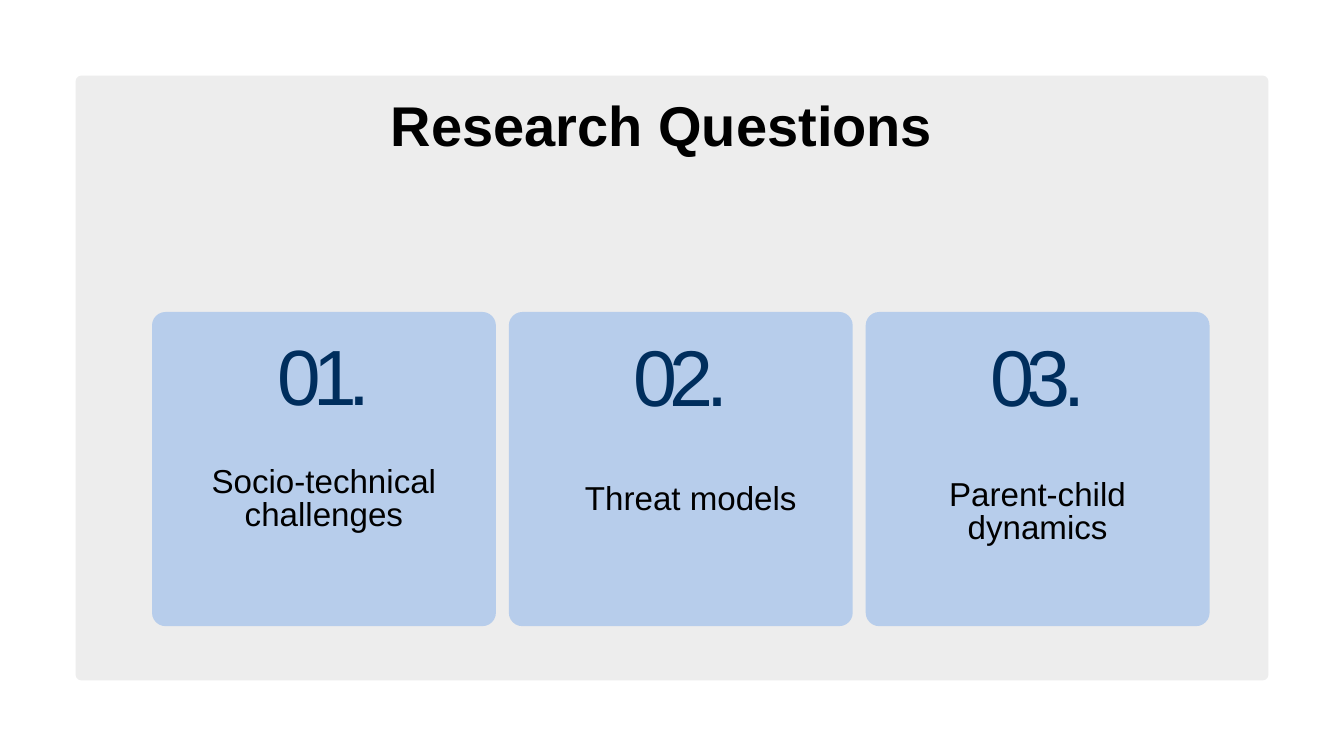
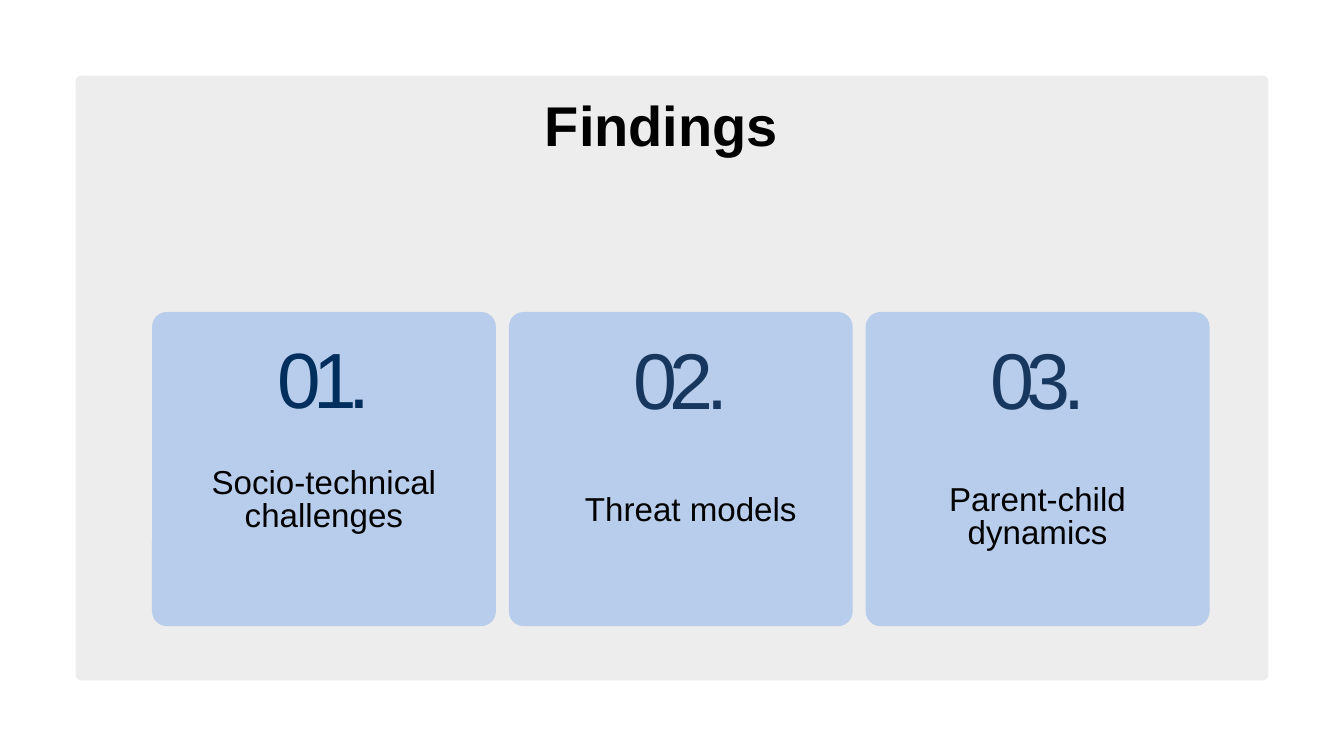
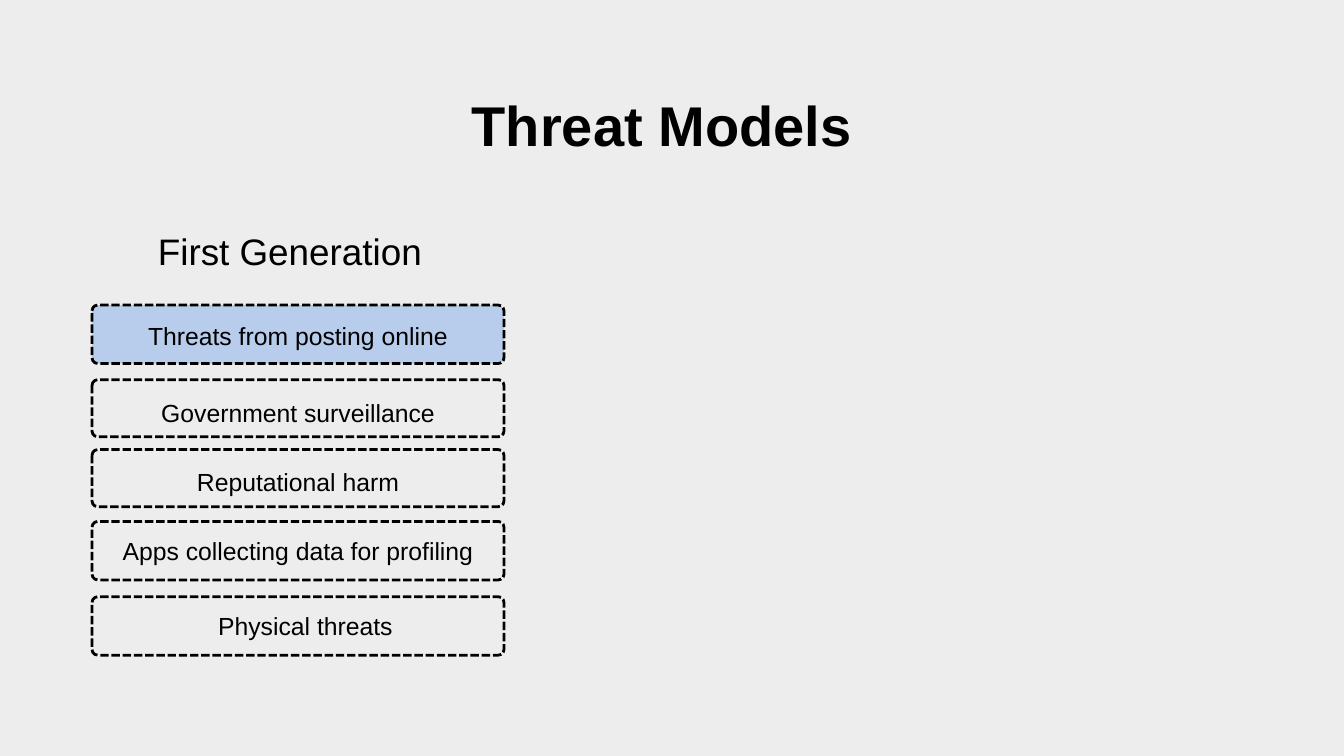
import dataclasses
import typing

import pptx
import pptx.dml.color
import pptx.enum.dml
import pptx.enum.shapes
import pptx.enum.text
import pptx.util

CELL = 0.25  # inches; the slide is 80 columns by 45 rows
COLUMNS, ROWS = 80, 45
FONT = "Arial"
BLACK, GREY, BLUE, NAVY, SLATE = "000000", "EDEDED", "B7CDEB", "002E5D", "17375E"


class Area(typing.NamedTuple):
    """Left, top, width and height in grid cells."""
    left: float
    top: float
    width: float
    height: float


@dataclasses.dataclass(frozen=True)
class Style:
    size: float
    leading: float
    color: str = BLACK
    bold: bool = False
    tracking: float = 0


@dataclasses.dataclass(frozen=True)
class Card:
    label: str
    label_top: float
    label_height: float
    number_color: str = NAVY
    number_size: float = 84.7
    label_shift: float = 0


@dataclasses.dataclass(frozen=True)
class Threat:
    text: str
    top: float
    height: float
    text_top: float
    text_width: float
    fill: str | None = None
    text_shift: float = 0


TITLE_AREA = Area(20.5, 6.04, 37.76, 3.36)
PANEL = Area(4.5, 4.5, 71, 36)
FIRST_CARD = Area(9.05, 18.57, 20.47, 18.7)
CARD_PITCH = 21.24
NUMBER_WIDTH, LABEL_WIDTH = 6.8, 16.92
THREAT_LEFT, THREAT_WIDTH = 5.48, 24.52
SMALL_RADIUS = 0.34

TITLE_STYLE = Style(60, 60, bold=True)
LABEL_STYLE = Style(35.5, 35.5)
HEADING_STYLE = Style(39.5, 55.3)
THREAT_STYLE = Style(26.5, 37.1)

QUESTIONS = [
    Card("Socio-technical challenges", 27.8, 3.92, number_size=83.9),
    Card("Threat models", 28.8, 2.04, label_shift=0.6),
    Card("Parent-child dynamics", 28.56, 3.92),
]
FINDINGS = [
    Card("Socio-technical challenges", 27.88, 4, number_size=83.9),
    Card("Threat models", 29.48, 2.04, SLATE, label_shift=0.6),
    Card("Parent-child dynamics", 28.88, 3.96, SLATE),
]
THREATS = [
    Threat("Threats from posting online", 18.16, 3.48, 18.8, 20.4, BLUE),
    Threat("Government surveillance", 22.6, 3.4, 23.4, 18.48),
    Threat("Reputational harm", 26.76, 3.4, 27.52, 15.12),
    Threat("Apps collecting data for profiling", 31.04, 3.48, 31.6, 23.56),
    Threat("Physical threats", 35.52, 3.48, 36.04, 23.56, text_shift=0.44),
]


def cells(count: float) -> int:
    return pptx.util.Inches(count * CELL)


def rgb(value: str) -> pptx.dml.color.RGBColor:
    return pptx.dml.color.RGBColor.from_string(value)


def centred(left: float, outer: float, inner: float) -> float:
    """Left edge of an inner width centred in an outer one."""
    return left + (outer - inner) / 2


def write(sp, text: str, style: Style) -> None:
    tf = sp.text_frame
    tf.text = text
    tf.word_wrap = True
    tf.auto_size = pptx.enum.text.MSO_AUTO_SIZE.SHAPE_TO_FIT_TEXT
    tf.vertical_anchor = pptx.enum.text.MSO_ANCHOR.TOP
    tf.margin_left = tf.margin_top = tf.margin_right = tf.margin_bottom = 0
    p = tf.paragraphs[0]
    p.alignment = pptx.enum.text.PP_ALIGN.CENTER
    p.line_spacing = pptx.util.Pt(style.leading)
    r = p.runs[0]
    r.font.name = FONT
    r.font.size = pptx.util.Pt(style.size)
    r.font.bold = style.bold
    r.font.color.rgb = rgb(style.color)
    if style.tracking:
        r.font._element.set("spc", str(round(style.tracking * 100)))


def add_text(s, area: Area, text: str, style: Style) -> None:
    write(s.shapes.add_textbox(*map(cells, area)), text, style)


def add_box(s, area: Area, radius: float, fill: str | None = None, dashed: bool = False):
    sp = s.shapes.add_shape(
        pptx.enum.shapes.MSO_SHAPE.ROUNDED_RECTANGLE, *map(cells, area))
    sp.adjustments[0] = radius / min(area.width, area.height)
    sp.shadow.inherit = False
    if fill:
        sp.fill.solid()
        sp.fill.fore_color.rgb = rgb(fill)
    else:
        sp.fill.background()
    if dashed:
        sp.line.color.rgb = rgb(BLACK)
        sp.line.width = pptx.util.Pt(3)
        sp.line.dash_style = pptx.enum.dml.MSO_LINE.SQUARE_DOT
    else:
        sp.line.fill.background()
    return sp


def add_slide(prs, title: str):
    s = prs.slides.add_slide(prs.slide_layouts.get_by_name("Title Only"))
    sp = s.shapes.title
    sp.left, sp.top, sp.width, sp.height = map(cells, TITLE_AREA)
    write(sp, title, TITLE_STYLE)
    return s


def add_card_slide(prs, title: str, cards: list[Card], number_top: float,
                   number_height: float, radius: float) -> None:
    s = add_slide(prs, title)
    panel = add_box(s, PANEL, SMALL_RADIUS, GREY).element
    panel.getparent().insert(2, panel)  # behind the title
    for i, card in enumerate(cards):
        area = FIRST_CARD._replace(left=FIRST_CARD.left + i * CARD_PITCH)
        add_box(s, area, radius, BLUE)
        number_left = centred(area.left, area.width, NUMBER_WIDTH)
        add_text(s, Area(number_left, number_top, NUMBER_WIDTH, number_height),
                 f"{i + 1:02}.",
                 Style(card.number_size, round(card.number_size * 0.96, 1),
                       card.number_color, tracking=-8.1))
        label_left = centred(area.left, area.width, LABEL_WIDTH) + card.label_shift
        add_text(s, Area(label_left, card.label_top, LABEL_WIDTH, card.label_height),
                 card.label, LABEL_STYLE)


def add_threat_slide(prs) -> None:
    s = add_slide(prs, "Threat Models")
    s.background.fill.solid()
    s.background.fill.fore_color.rgb = rgb(GREY)
    add_text(s, Area(8.2, 13.16, 18.12, 2.8), "First Generation", HEADING_STYLE)
    for threat in THREATS:
        add_box(s, Area(THREAT_LEFT, threat.top, THREAT_WIDTH, threat.height),
                SMALL_RADIUS, threat.fill, dashed=True)
        left = centred(THREAT_LEFT, THREAT_WIDTH, threat.text_width) + threat.text_shift
        add_text(s, Area(left, threat.text_top, threat.text_width, 1.88),
                 threat.text, THREAT_STYLE)


def main() -> None:
    prs = pptx.Presentation()
    prs.slide_width, prs.slide_height = cells(COLUMNS), cells(ROWS)
    add_card_slide(prs, "Research Questions", QUESTIONS, 20.6, 4.72, 0.8)
    add_card_slide(prs, "Findings", FINDINGS, 20.8, 4.56, 0.88)
    add_threat_slide(prs)
    prs.save("out.pptx")


if __name__ == "__main__":
    main()
